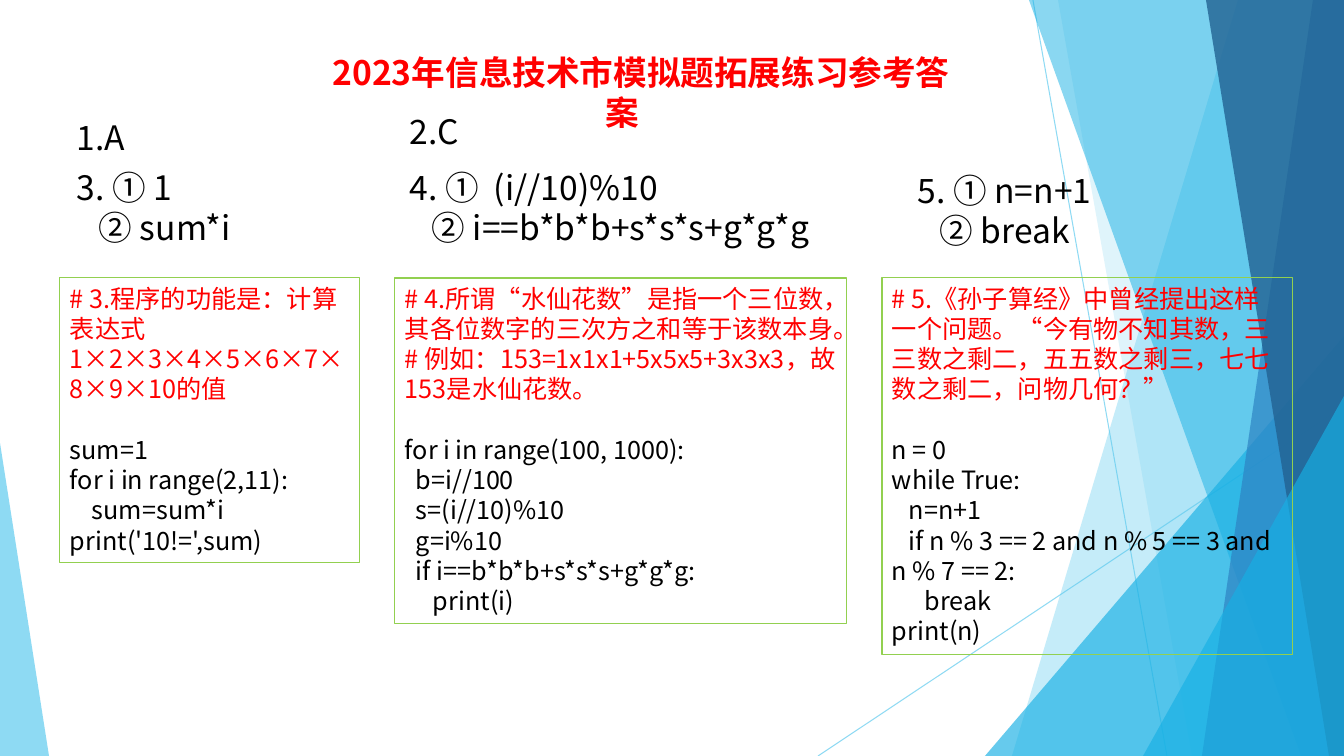
import pptx
import pptx.util
import pptx.dml.color
import pptx.enum.shapes
import pptx.enum.text
import pptx.oxml
import pptx.oxml.ns

PX = 914400 / 100.8
WIDE, HIGH = 1344, 756
FONT = "Noto Sans CJK SC"
HUES = {"sky": "5FCBEF", "cyan": "17B0E4", "blue": "2E83C3", "navy": "226292",
        "red": "FF0000", "black": "000000", "green": "92D050"}
QN = pptx.oxml.ns.qn


def emu(num):
    """Turn pixels into EMU."""
    return pptx.util.Emu(round(num * PX))


def rgb(hue):
    """Look up a colour by name."""
    return pptx.dml.color.RGBColor.from_string(HUES[hue])


def fade(shape, alpha):
    """Set the opacity of a shape's colour, in percent."""
    tint = next(shape._element.spPr.iter(QN("a:srgbClr")))
    pptx.oxml.ns  # namespace helpers
    tint.append(tint.makeelement(QN("a:alpha"), {"val": str(alpha * 1000)}))


def paint(shape, hue, alpha):
    """Fill a shape with a see-through colour and no outline."""
    shape.fill.solid()
    shape.fill.fore_color.rgb = rgb(hue)
    shape.line.fill.background()
    shape.shadow.inherit = False
    fade(shape, alpha)


def ray(slide, start, end):
    """Draw one thin line of the backdrop."""
    line = slide.shapes.add_connector(pptx.enum.shapes.MSO_CONNECTOR.STRAIGHT,
                                      *map(emu, start + end))
    line.line.color.rgb = rgb("sky")
    line.line.width = pptx.util.Pt(0.75)
    fade(line, 70)
    props = line._element.spPr
    props.append(props.makeelement(QN("a:effectLst"), {}))


def band(slide, top, foot, hue, alpha):
    """Draw a full-height band from a slanted left edge to the right side."""
    path = slide.shapes.build_freeform(emu(top), 0, scale=1.0)
    path.add_line_segments([(emu(WIDE), 0), (emu(WIDE), emu(HIGH)),
                            (emu(foot), emu(HIGH))], close=True)
    paint(path.convert_to_shape(), hue, alpha)


def wedge(slide, box, peak, hue, alpha):
    """Draw a right triangle whose peak is at the left (0) or right (1)."""
    kind = pptx.enum.shapes.MSO_SHAPE.ISOSCELES_TRIANGLE
    shape = slide.shapes.add_shape(kind, *map(emu, box))
    shape.adjustments[0] = peak
    paint(shape, hue, alpha)


def facets(slide):
    """Draw the blue backdrop from back to front."""
    ray(slide, (1033, 0), (1167, HIGH))
    ray(slide, (WIDE, 406), (818, HIGH))
    band(slide, 1238, 1012, "sky", 36)
    band(slide, 1058, 1192, "sky", 20)
    wedge(slide, (985, 336, 359, 420), 1, "cyan", 66)
    band(slide, 1029, 1301, "cyan", 50)
    band(slide, 1313, 1202, "blue", 70)
    band(slide, 1206, 1329, "navy", 80)
    wedge(slide, (1143, 396, 201, 360), 1, "cyan", 66)
    wedge(slide, (0, 443, 49, 313), 0, "sky", 70)


def style(para, size, hue, dent=0, bold=False):
    """Format a paragraph and its runs, with a first-line indent in pixels."""
    para.line_spacing = pptx.util.Pt(size * 1.2)
    para.space_before = para.space_after = pptx.util.Pt(0)
    props = para._p.get_or_add_pPr()
    props.set("marL", "0")
    props.set("indent", str(emu(dent)))
    for run in para.runs:
        font = run.font
        font.size, font.bold, font.name = pptx.util.Pt(size), bold, FONT
        font.color.rgb = rgb(hue)
        east = run._r.rPr.makeelement(QN("a:ea"), {"typeface": FONT})
        run._r.rPr.find(QN("a:latin")).addnext(east)


def frame(slide, box):
    """Add a wrapping text box."""
    shape = slide.shapes.add_textbox(*map(emu, box))
    shape.text_frame.word_wrap = True
    return shape


def head(slide, box):
    """Place the red title."""
    shape = slide.shapes.title
    shape.left, shape.top, shape.width, shape.height = map(emu, box)
    text = shape.text_frame
    text.text = "2023年信息技术市模拟题拓展练习参考答案"
    text.word_wrap = True
    text.auto_size = pptx.enum.text.MSO_AUTO_SIZE.NONE
    text.vertical_anchor = pptx.enum.text.MSO_ANCHOR.TOP
    para = text.paragraphs[0]
    style(para, 24, "red", 38, True)
    para.alignment = pptx.enum.text.PP_ALIGN.CENTER


def reply(slide, box, lines):
    """Place an answer, its second line indented."""
    text = frame(slide, box).text_frame
    text.text = "\n".join(lines)
    for para, dent in zip(text.paragraphs, (0, 22)):
        style(para, 24, "black", dent)


def panel(slide, box, notes, code):
    """Place a framed listing: red notes, a gap, then (indent, code) lines."""
    shape = frame(slide, box)
    shape.line.color.rgb = rgb("green")
    shape.line.width = pptx.util.Pt(0.75)
    text = shape.text_frame
    text.text = "\n".join(notes + [line for _, line in code])
    split = len(notes)
    for para in text.paragraphs[:split]:
        style(para, 18, "red")
    for para, (dent, _) in zip(text.paragraphs[split:], code):
        style(para, 18, "black", dent)
    text.paragraphs[split].space_before = pptx.util.Pt(21.6)


REPLIES = [
    ((67, 112, 131, 50), ["1.A"]),
    ((400, 106, 131, 50), ["2.C"]),
    ((67, 162, 280, 92), ["3. ① 1", "② sum*i"]),
    ((400, 162, 469, 92), ["4. ①  (i//10)%10", "② i==b*b*b+s*s*s+g*g*g"]),
    ((908, 165, 235, 92), ["5. ① n=n+1", "② break"]),
]
PANELS = [
    ((60, 278, 300, 285),
     ["# 3.程序的功能是：计算表达式1×2×3×4×5×6×7×8×9×10的值"],
     [(0, "sum=1"), (0, "for i in range(2,11):"), (22, "sum=sum*i"),
      (0, "print('10!=',sum)")]),
    ((395, 278, 452, 346),
     ["# 4.所谓“水仙花数”是指一个三位数，其各位数字的三次方之和等于该数本身。",
      "# 例如：153=1x1x1+5x5x5+3x3x3，故153是水仙花数。"],
     [(0, "for i in range(100, 1000):"), (11, "b=i//100"),
      (11, "s=(i//10)%10"), (11, "g=i%10"),
      (11, "if i==b*b*b+s*s*s+g*g*g:"), (28, "print(i)")]),
    ((882, 278, 411, 377),
     ["# 5.《孙子算经》中曾经提出这样一个问题。“今有物不知其数，三三数之剩二，"
      "五五数之剩三，七七数之剩二，问物几何？”"],
     [(0, "n = 0"), (0, "while True:"), (17, "n=n+1"),
      (17, "if n % 3 == 2 and n % 5 == 3 and n % 7 == 2:"),
      (33, "break"), (0, "print(n)")]),
]

deck = pptx.Presentation()
deck.slide_width, deck.slide_height = emu(WIDE), emu(HIGH)
page = deck.slides.add_slide(deck.slide_layouts[5])
facets(page)
head(page, (268, 47, 708, 50))
for box, lines in REPLIES:
    reply(page, box, lines)
for box, notes, code in PANELS:
    panel(page, box, notes, code)
deck.save("out.pptx")
